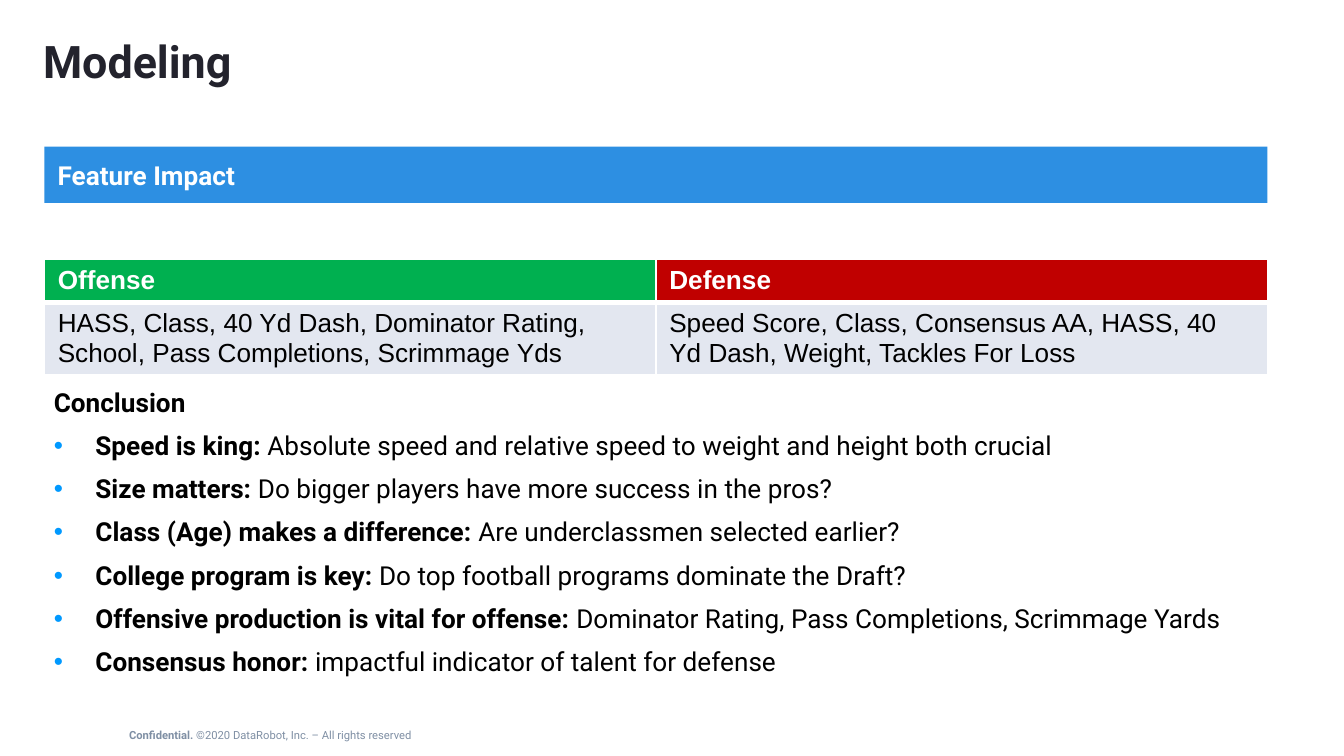
import pptx
import pptx.util
import pptx.dml.color
import pptx.enum.shapes
import pptx.enum.text
import pptx.oxml
import pptx.oxml.ns

Inches = pptx.util.Inches
Pt = pptx.util.Pt
RGBColor = pptx.dml.color.RGBColor
MIDDLE = pptx.enum.text.MSO_ANCHOR.MIDDLE
TOP = pptx.enum.text.MSO_ANCHOR.TOP
LEFT = pptx.enum.text.PP_ALIGN.LEFT

INK = RGBColor(0x23, 0x23, 0x2D)
WHITE = RGBColor(0xFF, 0xFF, 0xFF)
BLACK = RGBColor(0, 0, 0)
BLUE = RGBColor(0x2D, 0x8F, 0xE2)
BULLET = RGBColor(0x00, 0x99, 0xFF)
GREEN = RGBColor(0x00, 0xB0, 0x50)
RED = RGBColor(0xC0, 0x00, 0x00)
PALE = RGBColor(0xE3, 0xE7, 0xF0)
GREY = RGBColor(0x7F, 0x8F, 0xA4)

FEATURES = [
    ("Offense", GREEN, "HASS, Class, 40 Yd Dash, Dominator Rating, School, Pass Completions, Scrimmage Yds"),
    ("Defense", RED, "Speed Score, Class, Consensus AA, HASS, 40 Yd Dash, Weight, Tackles For Loss"),
]
CONCLUSIONS = [
    ("Speed is king: ", "Absolute speed and relative speed to weight and height both crucial"),
    ("Size matters: ", "Do bigger players have more success in the pros?"),
    ("Class (Age) makes a difference: ", "Are underclassmen selected earlier?"),
    ("College program is key: ", "Do top football programs dominate the Draft?"),
    ("Offensive production is vital for offense: ", "Dominator Rating, Pass Completions, Scrimmage Yards"),
    ("Consensus honor: ", "impactful indicator of talent for defense"),
]


def set_attrs(obj, **values):
    for name, value in values.items():
        setattr(obj, name, value)


def place(sp, box):
    for name, value in zip(("left", "top", "width", "height"), box):
        setattr(sp, name, Inches(value))


def format_frame(tf, anchor, side, edge):
    set_attrs(tf, word_wrap=True, auto_size=pptx.enum.text.MSO_AUTO_SIZE.NONE,
              vertical_anchor=anchor,
              margin_left=Inches(side), margin_right=Inches(side),
              margin_top=Inches(edge), margin_bottom=Inches(edge))


def add_run(p, text, size, color, bold=False, name="Roboto"):
    r = p.add_run()
    r.text = text
    set_attrs(r.font, size=Pt(size), bold=bold, name=name)
    r.font.color.rgb = color


def set_bullet(p, char=None, indent=0):
    pPr = p._p.get_or_add_pPr()
    pPr.set("marL", str(Inches(indent)))
    pPr.set("indent", str(-Inches(indent)))
    ns = pptx.oxml.ns.nsdecls("a")
    if char is None:
        parts = [f"<a:buNone {ns}/>"]
    else:
        parts = [f'<a:buClr {ns}><a:srgbClr val="{BULLET}"/></a:buClr>',
                 f'<a:buFont {ns} typeface="Arial"/>',
                 f'<a:buChar {ns} char="{char}"/>']
    for xml in parts:
        pPr.append(pptx.oxml.parse_xml(xml))


def set_borders(cell, widths):
    tcPr = cell._tc.get_or_add_tcPr()
    for side, width in zip("LRTB", widths):
        tcPr.append(pptx.oxml.parse_xml(
            f'<a:ln{side} {pptx.oxml.ns.nsdecls("a")} w="{Pt(width)}">'
            f'<a:solidFill><a:srgbClr val="{WHITE}"/></a:solidFill></a:ln{side}>'))


def add_title(s, box):
    sp = s.shapes.title
    place(sp, box)
    format_frame(sp.text_frame, MIDDLE, 0.07, 0.04)
    p = sp.text_frame.paragraphs[0]
    set_attrs(p, alignment=LEFT, line_spacing=0.9)
    add_run(p, "Modeling", 24, INK, bold=True)


def add_banner(s, box):
    sp = s.shapes.add_shape(pptx.enum.shapes.MSO_SHAPE.RECTANGLE, *map(Inches, box))
    sp.shadow.inherit = False
    sp.fill.solid()
    sp.fill.fore_color.rgb = BLUE
    sp.line.fill.background()
    format_frame(sp.text_frame, MIDDLE, 0.1, 0.05)
    p = sp.text_frame.paragraphs[0]
    p.alignment = LEFT
    add_run(p, "Feature Impact", 14, WHITE, bold=True)


def add_feature_table(s, box):
    table = s.shapes.add_table(2, len(FEATURES), *map(Inches, box)).table
    for row, height in zip(table.rows, (0.3, 0.51)):
        row.height = Inches(height)
    for col, (heading, color, features) in enumerate(FEATURES):
        table.columns[col].width = Inches(box[2] / len(FEATURES))
        rows = [(heading, color, WHITE, True, (1, 1, 1, 3)),
                (features, PALE, BLACK, False, (1, 1, 3, 1))]
        for row, (text, fill, ink, bold, widths) in enumerate(rows):
            cell = table.cell(row, col)
            set_borders(cell, widths)
            cell.fill.solid()
            cell.fill.fore_color.rgb = fill
            add_run(cell.text_frame.paragraphs[0], text, 14, ink, bold, "Arial")


def add_conclusion(s, box):
    sp = s.placeholders[1]
    place(sp, box)
    tf = sp.text_frame
    format_frame(tf, TOP, 0.07, 0.04)
    p = tf.paragraphs[0]
    set_bullet(p)
    set_attrs(p, line_spacing=0.9, space_before=Pt(0))
    add_run(p, "Conclusion", 14, BLACK, bold=True)
    for lead, detail in CONCLUSIONS:
        p = tf.add_paragraph()
        set_bullet(p, "•", 0.31)
        set_attrs(p, line_spacing=0.9, space_before=Pt(8))
        add_run(p, lead, 14, BLACK, bold=True)
        add_run(p, detail, 14, BLACK)


def add_footer(s, box):
    tf = s.shapes.add_textbox(*map(Inches, box)).text_frame
    format_frame(tf, MIDDLE, 0.07, 0.07)
    p = tf.paragraphs[0]
    add_run(p, "Confidential.", 6, GREY, bold=True)
    add_run(p, " ©2020 DataRobot, Inc. – All rights reserved", 6, GREY)


def main():
    prs = pptx.Presentation()
    set_attrs(prs, slide_width=Inches(10), slide_height=Inches(10) * 9 // 16)
    s = prs.slides.add_slide(prs.slide_layouts[1])
    left, width = 0.33, 9.1
    add_footer(s, (0.89, 5.29, 2.91, 0.36))
    add_title(s, (0.25, 0.15, 8.41, 0.65))
    add_banner(s, (left, 1.09, width, 0.42))
    add_feature_table(s, (left, 1.93, width, 0.81))
    add_conclusion(s, (left, 2.86, width, 2.3))
    prs.save("out.pptx")


if __name__ == "__main__":
    main()
